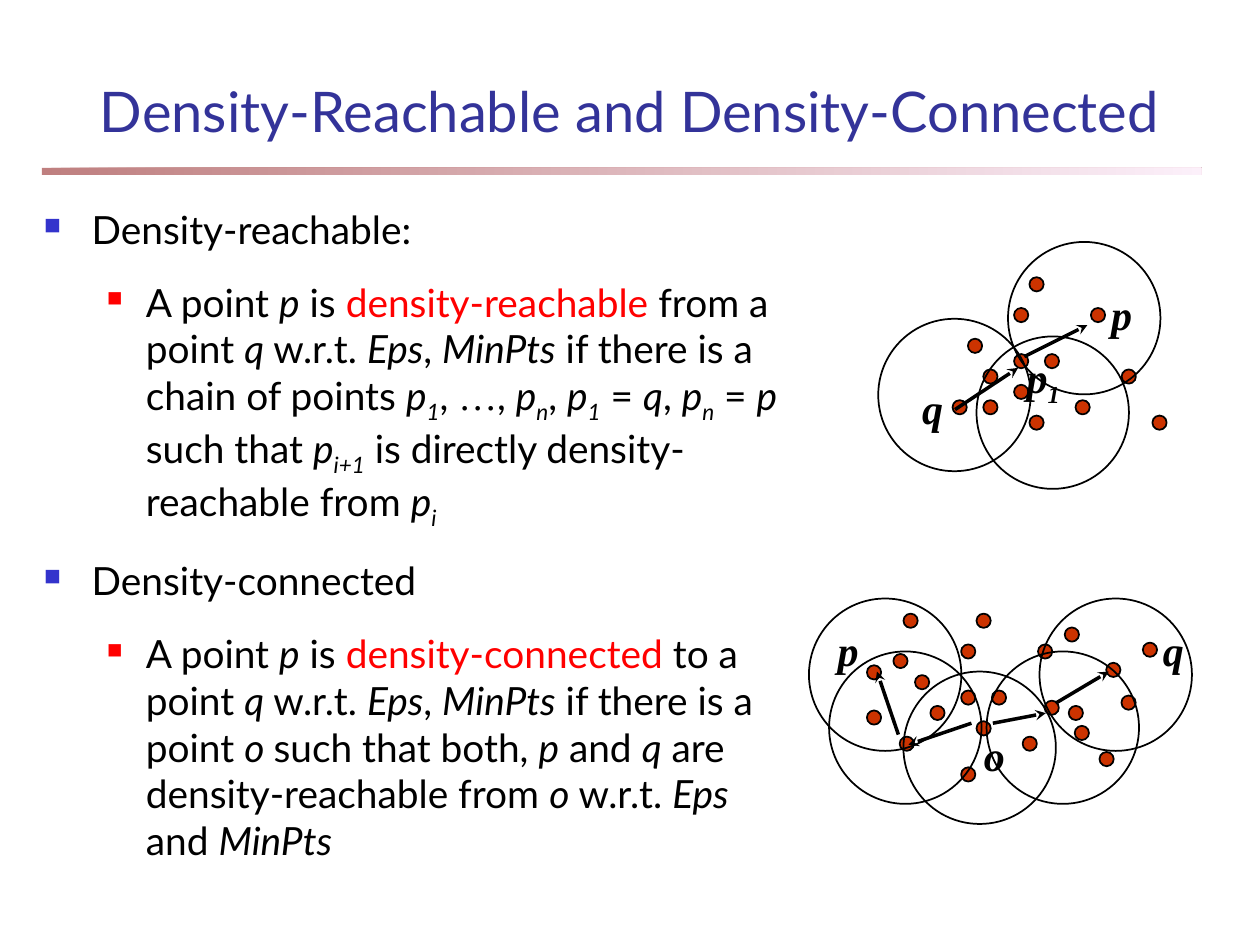
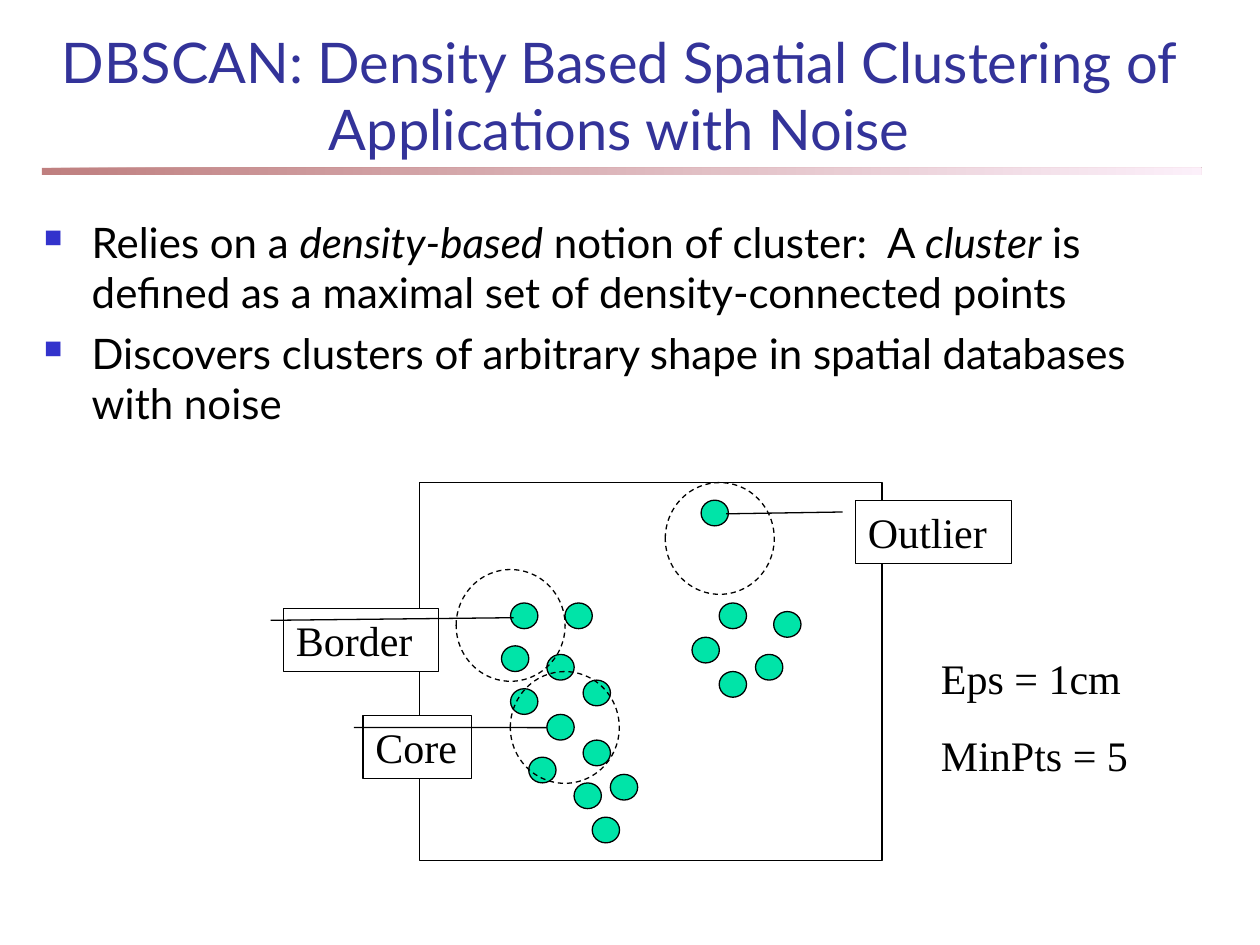
from lxml import etree
from pptx import Presentation
from pptx import util as u
from pptx.dml.color import RGBColor
from pptx.enum import dml, shapes, text
from pptx.oxml.ns import qn

COLORS = {
    "title": "333399", "ink": "000000", "key": "FF0000", "bullet": "3333CC",
    "band_start": "800000", "band_end": "FAE2F6", "paper": "FFFFFF",
    "red_dot": "CC3300", "green_dot": "00E4A8",
}
COLORS = {name: RGBColor.from_string(value) for name, value in COLORS.items()}
SANS, SERIF = "Lato", "Times New Roman"
COLUMNS, ROWS = 100, 75
CELL = u.Inches(10) // COLUMNS
OVAL = shapes.MSO_SHAPE.OVAL
BOX = shapes.MSO_SHAPE.RECTANGLE
CALLOUT = shapes.MSO_SHAPE.LINE_CALLOUT_1
CENTER = text.PP_ALIGN.CENTER
TOP, MIDDLE, BOTTOM = (text.MSO_ANCHOR.TOP, text.MSO_ANCHOR.MIDDLE,
                       text.MSO_ANCHOR.BOTTOM)
# Left margin, hanging indent, bullet colour and bullet size for each level
LEVELS = [(0.38, 0.38, "bullet", 60), (0.81, 0.31, "key", 55)]


def draw(page, kind, place, fill=None, width=None, dashed=False):
    """Add a preset shape, or a text box if kind is None, at grid cells."""
    place = [int(CELL * n) for n in place]
    if kind is None:
        return page.shapes.add_textbox(*place)
    shape = page.shapes.add_shape(kind, *place)
    shape.shadow.inherit = False
    if fill:
        shape.fill.solid()
        shape.fill.fore_color.rgb = COLORS[fill]
    else:
        shape.fill.background()
    if width:
        shape.line.width = u.Pt(width)
        shape.line.color.rgb = COLORS["ink"]
        if dashed:
            shape.line.dash_style = dml.MSO_LINE.DASH
    else:
        shape.line.fill.background()
    return shape


def write(box, lines, size=24, font=SERIF, color="ink", bold=None, before=0,
          align=text.PP_ALIGN.LEFT, anchor=TOP, levels=None):
    """Fill a box; * marks italic, _ subscript, ^ key colour, ~ serif."""
    frame = box.text_frame
    frame.word_wrap = True
    frame.vertical_anchor = anchor
    for number, line in enumerate(lines):
        para = frame.paragraphs[0] if number == 0 else frame.add_paragraph()
        para.alignment = align
        para.space_before = u.Pt(before)
        if levels:
            para.level = levels[number]
            margin, hang, tint, percent = LEVELS[levels[number]]
            props = para._p.get_or_add_pPr()
            props.set("marL", str(u.Inches(margin)))
            props.set("indent", str(-u.Inches(hang)))
            paint = etree.SubElement(props, qn("a:buClr"))
            etree.SubElement(paint, qn("a:srgbClr"), val=str(COLORS[tint]))
            etree.SubElement(props, qn("a:buSzPct"), val=str(percent * 1000))
            etree.SubElement(props, qn("a:buChar"), char="■")
        for mark in "*_^~":
            line = line.replace(mark, f"|{mark}|")
        active = set()
        for piece in filter(None, line.split("|")):
            if piece in "*_^~":
                active ^= {piece}
                continue
            span = para.add_run()
            span.text = piece
            span.font.size = u.Pt(size)
            span.font.name = SERIF if "~" in active else font
            span.font.bold = bold
            span.font.italic = "*" in active
            span.font.color.rgb = COLORS["key" if "^" in active else color]
            if "_" in active:
                span._r.get_or_add_rPr().set("baseline", "-25000")


deck = Presentation()
deck.slide_width, deck.slide_height = CELL * COLUMNS, CELL * ROWS

# Shared band and title
titles = [
    ("Density-Reachable and Density-Connected", (0, 4.17, 100, 9.17), MIDDLE),
    ("DBSCAN: Density Based Spatial Clustering of Applications with Noise",
     (2.5, 2.5, 93.33, 10.83), BOTTOM),
]
pages = []
for title, place, anchor in titles:
    page = deck.slides.add_slide(deck.slide_layouts[6])
    band = draw(page, BOX, (3.33, 13.33, 92, 0.55))
    band.fill.gradient()
    band.fill.gradient_angle = 0
    for stop, name in zip(band.fill.gradient_stops, ("band_start", "band_end")):
        stop.color.rgb = COLORS[name]
    for paint in band._element.iter(qn("a:srgbClr")):
        etree.SubElement(paint, qn("a:alpha"), val="50000")
    write(draw(page, None, place), [title], size=32, font=SANS,
          color="title", align=CENTER, anchor=anchor)
    pages.append(page)
reach_page, dbscan_page = pages

# Density-reachable and density-connected
write(draw(reach_page, None, (2.5, 15.83, 61.67, 55)), [
    "Density-reachable:",
    "A point *p* is ^density-reachable^ from a point *q* w.r.t. *Eps*, "
    "*MinPts* if there is a chain of points *p_1_*, ~…~, *p_n_*, "
    "*p_1_* = *q*, *p_n_* = *p* such that *p_i+1_* is directly "
    "density-reachable from *p_i_*",
    "Density-connected",
    "A point *p* is ^density-connected^ to a point *q* w.r.t. *Eps*, "
    "*MinPts* if there is a point *o *such that both, *p* and *q* are "
    "density-reachable from *o* w.r.t. *Eps* and *MinPts*",
], size=22.2, font=SANS, before=15, levels=[0, 1, 0, 1])

# Each diagram: lattice origin, then dots in lattice steps
DOT, STEP, RING = 1.13, 1.22, 12.1
diagrams = [
    ((75.6, 22), [
        (1, 4), (4, 5), (4, 2), (0, 8), (2, 6), (2, 8), (5, 9), (5, 0),
        (11, 6), (9, 2), (4, 7), (6, 5), (8, 8), (13, 9)]),
    ((71.4, 48.7), [
        (1, 4), (4, 5), (4, 2), (0, 8), (2, 6), (4, 10), (5, 7), (5, 0),
        (11, 6), (9, 2), (-2.13, 6.3), (6, 5), (8, 8), (13, 9),
        (14.43, 5.33), (9.43, 5.66), (11.39, 7.3), (15.82, 1.89),
        (10.74, 0.9), (13.44, 3.2), (-0.41, 2.62), (-2.13, 3.36), (0.25, 0)]),
]
for (left, top), dots in diagrams:
    for column, row in dots:
        draw(reach_page, OVAL,
             (left + column * STEP, top + row * STEP, DOT, DOT), "red_dot", 1)

rings = [(77.5, 26.7), (69.7, 25.3), (80, 19.2), (65.8, 51.7), (71.7, 53.3),
         (78.3, 51.7), (82.5, 47.5), (64.2, 47.5)]
for left, top in rings:
    draw(reach_page, OVAL, (left, top, RING, RING), width=1)

point_names = [
    ("*p*", 87.2, 22.4, 4.2), ("*q*", 72.2, 29.9, 4.2),
    ("*p_1_*", 80.5, 27.4, 6.7), ("*p*", 65.5, 49.1, 4.2),
    ("*q*", 91.3, 49.1, 4.2), ("*o*", 77.1, 57.4, 4.2),
]
for name, left, top, width in point_names:
    write(draw(reach_page, None, (left, top, width, 5)), [name],
          bold=True, before=15)

arrows = [
    (81.3, 28.3, 86.3, 25.8), (75.8, 32.5, 80.8, 29.2),
    (77.1, 57.4, 72.1, 59.1), (78.8, 57.4, 83, 56.6),
    (71.3, 58.3, 69.6, 53.3), (83.8, 55.8, 88, 53.3),
]
for ends in arrows:
    arrow = reach_page.shapes.add_connector(
        shapes.MSO_CONNECTOR.STRAIGHT, *[int(CELL * n) for n in ends])
    arrow.line.width = u.Pt(2)
    arrow.line.color.rgb = COLORS["ink"]
    etree.SubElement(arrow.line._get_or_add_ln(), qn("a:tailEnd"),
                     type="stealth")
    etree.SubElement(arrow._element.spPr, qn("a:effectLst"))

# DBSCAN
write(draw(dbscan_page, None, (2.5, 16.67, 93.33, 55)), [
    "Relies on a *density-based* notion of cluster:  A *cluster* is defined "
    "as a maximal set of density-connected points",
    "Discovers clusters of arbitrary shape in spatial databases with noise",
], font=SANS, before=6, levels=[0, 0])

samples = [
    (1, 12), (0, 17), (5, 18), (7, 12), (9, 21), (1, 22), (5, 25), (3, 30),
    (8, 33), (10, 37), (9, 28), (12, 32),
    (22, 0), (24, 12), (21, 16), (28, 18), (30, 13), (24, 20),
]
for column, row in samples:
    draw(dbscan_page, OVAL,
         (39.8 + column * 0.72, 39.7 + row * 0.68, 2.17, 2.04),
         "green_dot", 0.75)

draw(dbscan_page, BOX, (33.3, 38.3, 36.7, 30), width=0.75)
for left, top in [(36.2, 45.2), (40.5, 53.3), (52.8, 38.3)]:
    draw(dbscan_page, OVAL, (left, top, 8.65, 8.87), width=0.75, dashed=True)

callouts = [
    ("Core", (28.8, 56.8, 8.65, 5), (0.191, 1.687)),
    ("Border", (22.5, 48.3, 12.3, 5), (0.146, 1.485)),
    ("Outlier", (67.9, 39.7, 12.4, 5), (0.217, -0.828)),
]
for name, place, target in callouts:
    callout = draw(dbscan_page, CALLOUT, place, "paper", 0.75)
    for index, value in enumerate((0.188, -0.083, *target)):
        callout.adjustments[index] = value
    write(callout, [name])

write(draw(dbscan_page, None, (73.7, 51.3, 18, 11.1)),
      ["Eps = 1cm", "MinPts = 5"], before=15)

deck.save("out.pptx")
